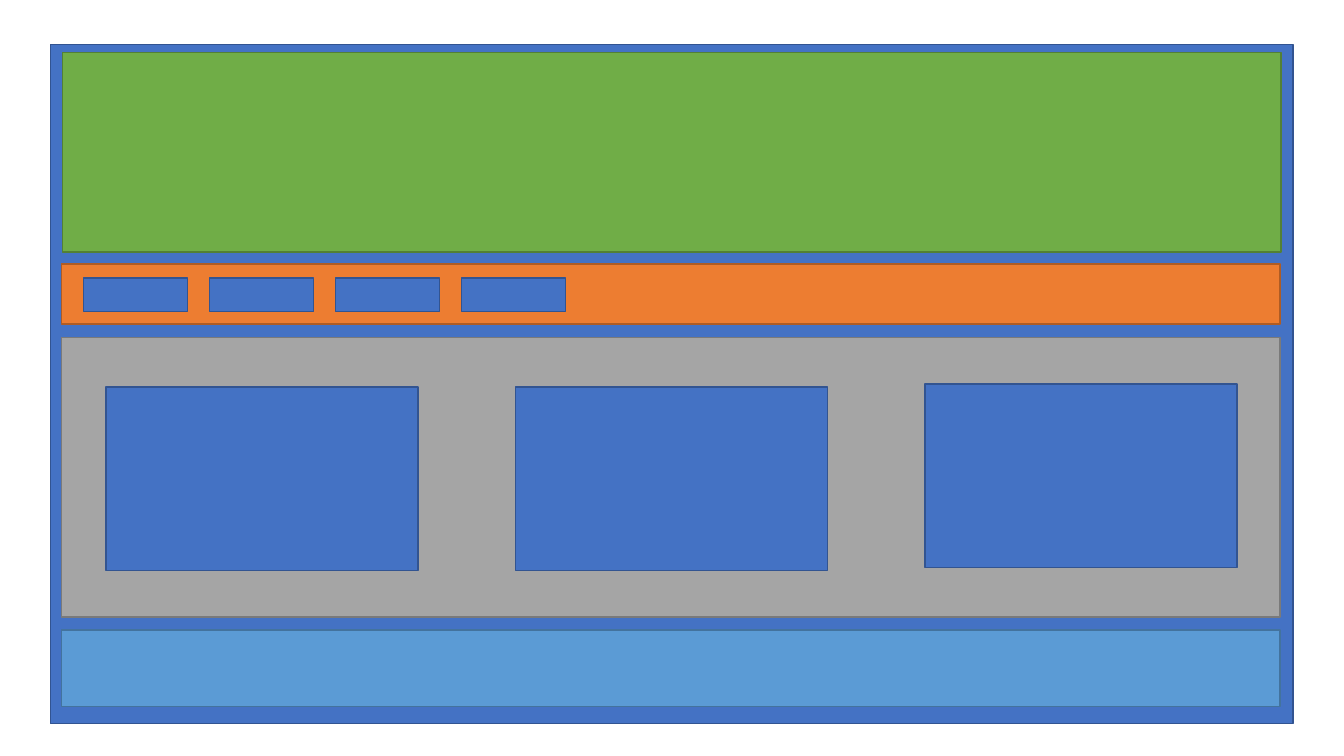
from dataclasses import dataclass

from pptx import Presentation
from pptx.dml.color import RGBColor
from pptx.enum.shapes import MSO_SHAPE as Shape
from pptx.util import Cm, Pt

# Content: page layout wireframe, lengths in cm
SLIDE_SIZE = (33.87, 19.05)
PAGE = (1.27, 1.12, 31.32, 17.12)
BAND_WIDTH = 30.71
BANDS = [  # colour role, left, top, height
    ("header", 1.57, 1.32, 5.03),
    ("navigation", 1.55, 6.65, 1.52),
    ("content", 1.55, 8.51, 7.04),
    ("footer", 1.55, 15.88, 1.93),
]
BUTTON_COUNT, BUTTON_PITCH = 4, 3.175
FIRST_BUTTON = (2.11, 7.01, 2.62, 0.84)
CARD_TOPS = [9.75, 9.75, 9.68]
CARD_LEFT, CARD_PITCH = 2.67, 10.32
CARD_SIZE = (7.87, 4.62)


@dataclass(frozen=True)
class Theme:
    # role: (fill, outline)
    page: tuple = ("4472C4", "325491")
    header: tuple = ("70AD47", "538035")
    navigation: tuple = ("ED7D31", "AF5C24")
    content: tuple = ("A5A5A5", "7A7A7A")
    footer: tuple = ("5B9BD5", "43739E")
    outline_width: int = 1


THEME = Theme()


def add_block(slide, role, left, top, width, height):
    fill, outline = getattr(THEME, role)
    block = slide.shapes.add_shape(
        Shape.RECTANGLE, Cm(left), Cm(top), Cm(width), Cm(height))
    block.shadow.inherit = False
    block.fill.solid()
    block.fill.fore_color.rgb = RGBColor.from_string(fill)
    block.line.color.rgb = RGBColor.from_string(outline)
    block.line.width = Pt(THEME.outline_width)


def main():
    deck = Presentation()
    deck.slide_width, deck.slide_height = map(Cm, SLIDE_SIZE)
    slide = deck.slides.add_slide(deck.slide_layouts[6])

    # Page and its bands
    add_block(slide, "page", *PAGE)
    for role, left, top, height in BANDS:
        add_block(slide, role, left, top, BAND_WIDTH, height)

    # Navigation buttons
    left, top, width, height = FIRST_BUTTON
    for i in range(BUTTON_COUNT):
        add_block(slide, "page", left + i * BUTTON_PITCH, top, width, height)

    # Content cards
    for i, top in enumerate(CARD_TOPS):
        add_block(slide, "page", CARD_LEFT + i * CARD_PITCH, top, *CARD_SIZE)

    deck.save("out.pptx")


if __name__ == "__main__":
    main()
